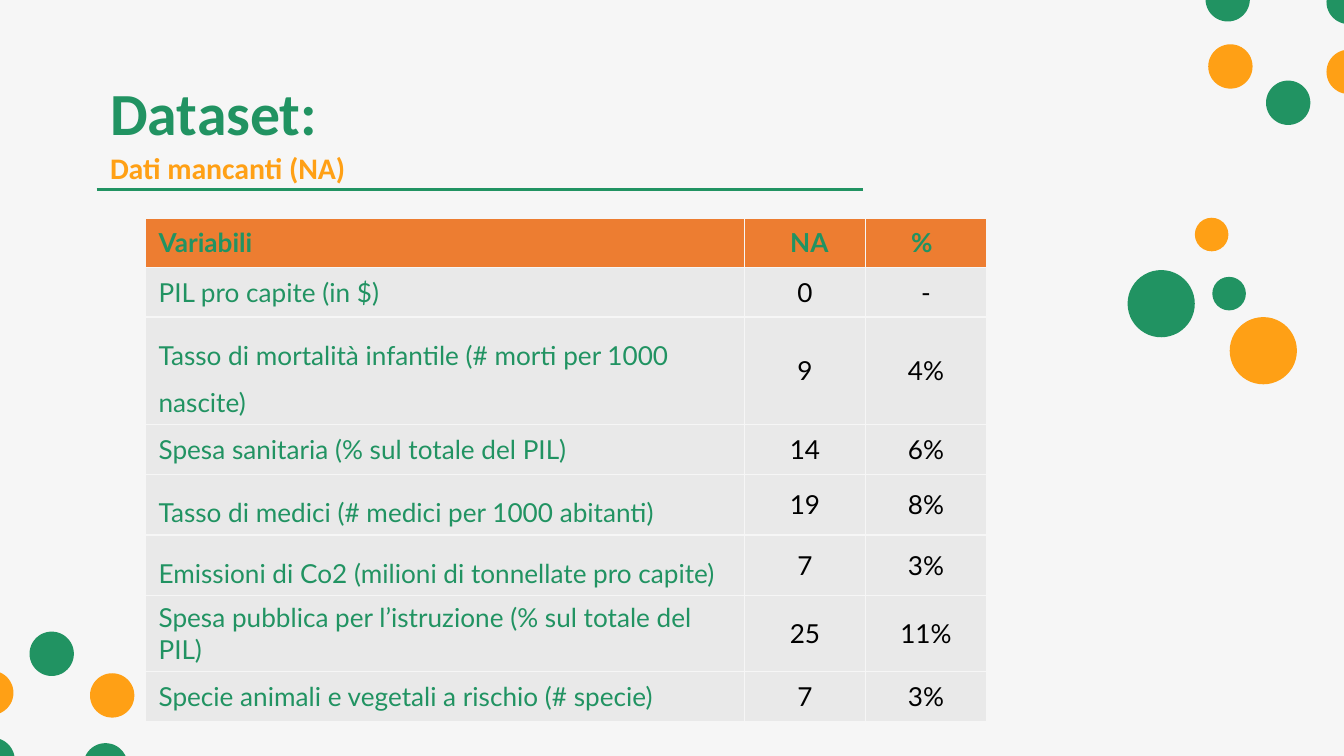
import pptx
import pptx.util
import pptx.dml.color
import pptx.enum.shapes
import pptx.enum.text
import pptx.oxml
import pptx.oxml.ns

Inches, Pt = pptx.util.Inches, pptx.util.Pt
ALIGN, ANCHOR = pptx.enum.text.PP_ALIGN, pptx.enum.text.MSO_ANCHOR
W = 10
H = W * 9 / 16
COLORS = {"green": "219362", "orange": "FFA015", "header": "ED7D31",
          "body": "E9E9E9", "paper": "F6F6F6", "black": "000000"}

DOTS = {
    0.33: [(8.97, -0.17, "green"), (9.42, 0.6, "green"), (9.87, 0.37, "orange"),
           (9.87, -0.15, "green"), (8.99, 0.33, "orange"),
           (0.22, 4.7, "green"), (-0.23, 4.99, "orange"), (0.62, 5.53, "green"),
           (0.67, 5.01, "orange"), (-0.22, 5.49, "green")],
    0.25: [(9.02, 2.06, "green"), (8.89, 1.62, "orange")],
    0.5: [(8.39, 2.01, "green"), (9.15, 2.36, "orange")],
}
TITLE = ("Dataset:", (0.72, 0.57, 6.4, 0.63), {"size": 32, "color": "green"})
SUBTITLE = ("Dati mancanti (NA)", (0.72, 1.04, 7.01, 0.44), {"size": 16, "color": "orange"})
RULE = (0.72, 6.42, 1.41)

HEADER = ("Variabili", "NA", "%")
ROWS = [
    ("PIL pro capite (in $)", "0", "-"),
    ("Tasso di mortalità infantile (# morti per 1000 nascite)", "9", "4%"),
    ("Spesa sanitaria (% sul totale del PIL)", "14", "6%"),
    ("Tasso di medici (# medici per 1000 abitanti)", "19", "8%"),
    ("Emissioni di Co2 (milioni di tonnellate pro capite)", "7", "3%"),
    ("Spesa pubblica per l’istruzione (% sul totale del PIL)", "25", "11%"),
    ("Specie animali e vegetali a rischio (# specie)", "7", "3%"),
]
COLS = (4.46, 0.9, 0.9)
ROW_H, TALL_H = 0.37, 0.41
SPACED_ROWS = {2, 4, 5}
TABLE_AT = (1.08, 1.62)


def rgb(name):
    return pptx.dml.color.RGBColor.from_string(COLORS[name])


def box(values):
    return [Inches(v) for v in values]


def paint(fill, color):
    fill.solid()
    fill.fore_color.rgb = rgb(color)


def write(tf, text, size, color, bold=True, font="Calibri", **paragraph):
    p = tf.paragraphs[0]
    for name, value in paragraph.items():
        setattr(p, name, value)
    r = p.add_run()
    r.text = text
    for name, value in {"name": font, "size": Pt(size), "bold": bold}.items():
        setattr(r.font, name, value)
    r.font.color.rgb = rgb(color)


def write_heading(sp, text, at, style):
    sp.left, sp.top, sp.width, sp.height = box(at)
    tf = sp.text_frame
    frame = {"word_wrap": True, "auto_size": pptx.enum.text.MSO_AUTO_SIZE.NONE,
             "vertical_anchor": ANCHOR.BOTTOM}
    frame.update({f"margin_{side}": Inches(0.1) for side in ("left", "top", "right", "bottom")})
    for name, value in frame.items():
        setattr(tf, name, value)
    write(tf, text, alignment=ALIGN.LEFT, **style)


def add_dots(s):
    for size, dots in DOTS.items():
        for x, y, color in dots:
            sp = s.shapes.add_shape(pptx.enum.shapes.MSO_SHAPE.OVAL, *box((x, y, size, size)))
            sp.shadow.inherit = False
            paint(sp.fill, color)
            sp.line.fill.background()


def add_rule(s):
    x1, x2, y = RULE
    line = s.shapes.add_connector(pptx.enum.shapes.MSO_CONNECTOR.STRAIGHT, *box((x1, y, x2, y)))
    line.line.color.rgb = rgb("green")
    line.line.width = Pt(1.5)
    line._element.spPr.append(pptx.oxml.parse_xml(
        f'<a:effectLst {pptx.oxml.ns.nsdecls("a")}/>'))


def add_borders(cell):
    tc_pr = cell._tc.get_or_add_tcPr()
    for i, side in enumerate("LRTB"):
        tc_pr.insert(i, pptx.oxml.parse_xml(
            f'<a:ln{side} {pptx.oxml.ns.nsdecls("a")} w="12700"><a:solidFill>'
            f'<a:srgbClr val="{COLORS["paper"]}"/></a:solidFill></a:ln{side}>'))


def add_data_table(s):
    rows = [HEADER] + ROWS
    heights = [TALL_H if i in SPACED_ROWS else ROW_H for i in range(len(rows))]
    frame = s.shapes.add_table(len(rows), len(COLS),
                               *box((*TABLE_AT, sum(COLS), sum(heights))))
    table = frame.table
    table.first_row = True
    table.horz_banding = False
    for column, width in zip(table.columns, COLS):
        column.width = Inches(width)
    for i, (row, height) in enumerate(zip(rows, heights)):
        table.rows[i].height = Inches(height)
        for j, text in enumerate(row):
            cell = table.cell(i, j)
            head, number = i == 0, j > 0
            paint(cell.fill, "header" if head else "body")
            add_borders(cell)
            cell.vertical_anchor = ANCHOR.MIDDLE
            if head and number:
                cell.margin_left = Inches(0.34)
            write(cell.text_frame, text, 14,
                  "black" if number and not head else "green", head, "Lato",
                  alignment=ALIGN.CENTER if number and not head else ALIGN.LEFT,
                  line_spacing=1.5 if i in SPACED_ROWS and not number else 1.0)


def main():
    prs = pptx.Presentation()
    prs.slide_width, prs.slide_height = box((W, H))
    s = prs.slides.add_slide(prs.slide_layouts[5])
    paint(s.background.fill, "paper")
    add_dots(s)
    add_rule(s)
    write_heading(s.shapes.title, *TITLE)
    write_heading(s.shapes.add_textbox(*box(SUBTITLE[1])), *SUBTITLE)
    add_data_table(s)
    prs.save("out.pptx")


if __name__ == "__main__":
    main()
